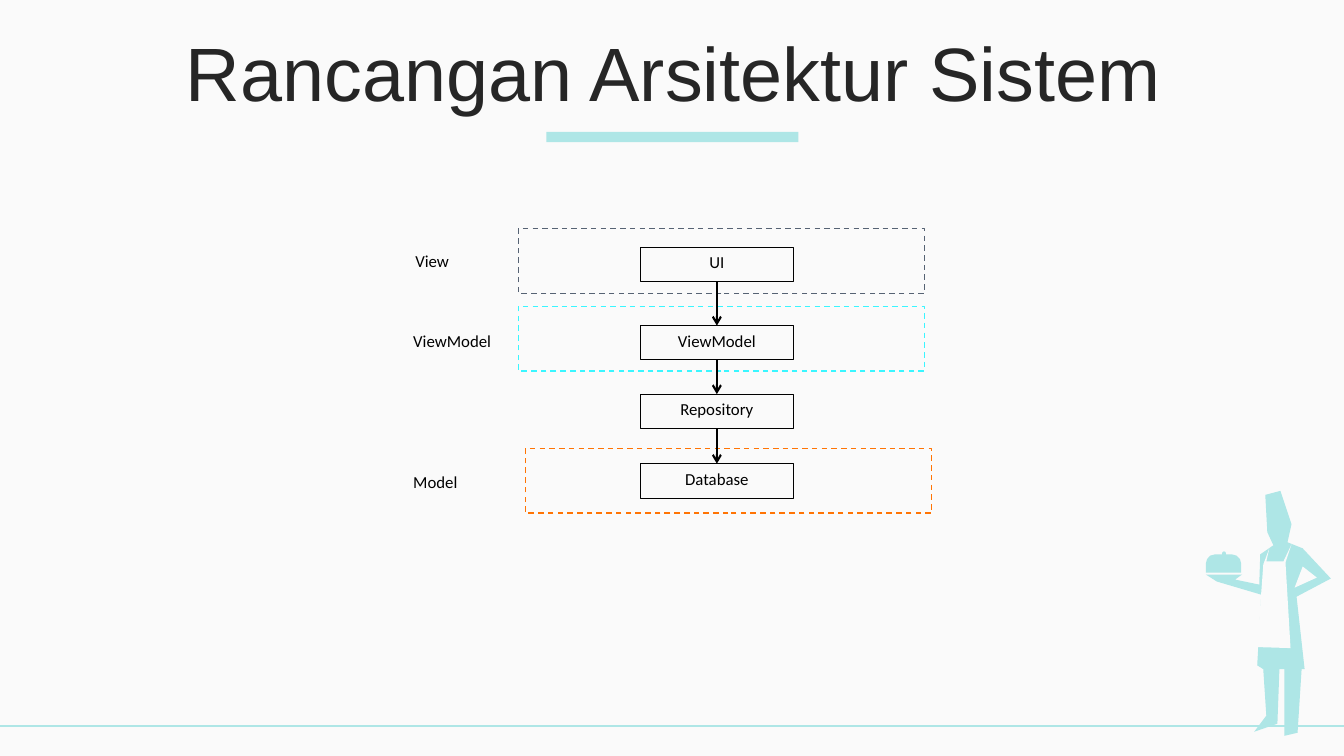
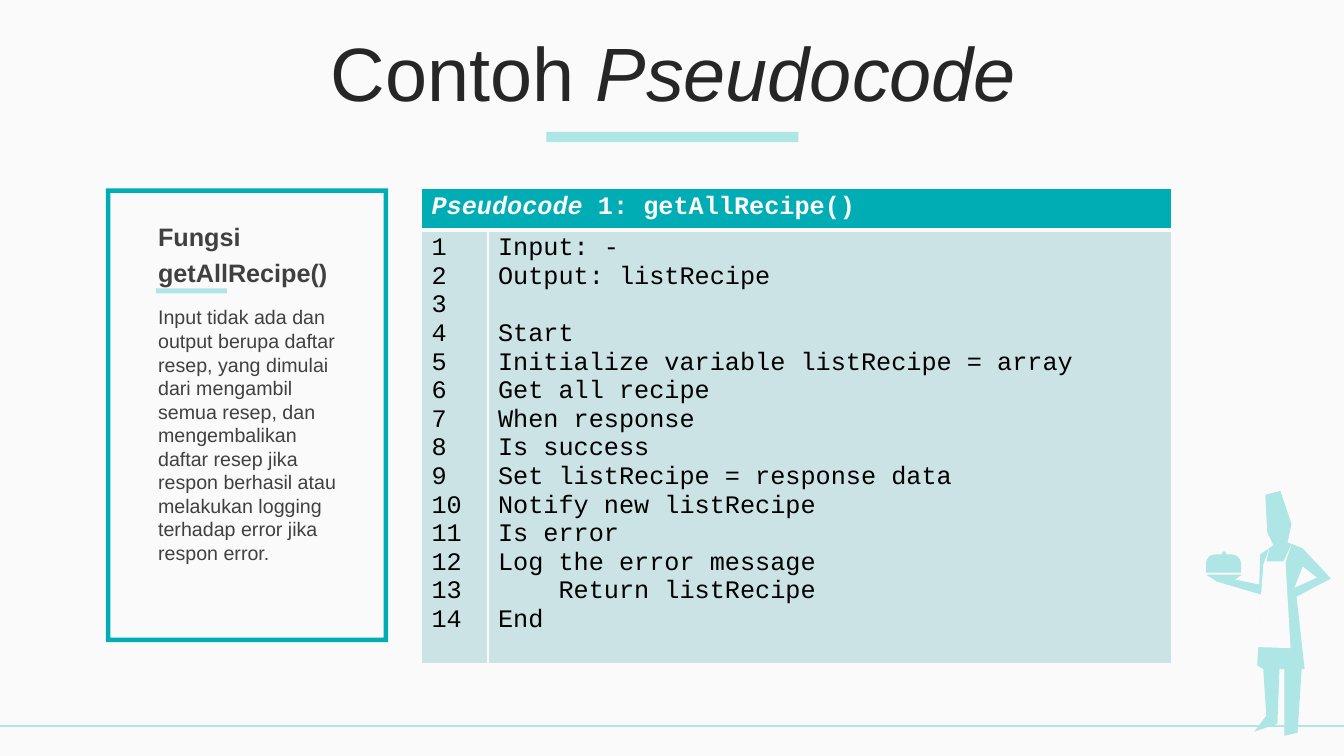
"""Build two slides: a system architecture diagram and a pseudocode listing."""
from lxml import etree
from pptx import Presentation
from pptx.dml.color import RGBColor
from pptx.enum.dml import MSO_LINE
from pptx.enum.shapes import MSO_CONNECTOR, MSO_SHAPE
from pptx.enum.text import MSO_ANCHOR, PP_ALIGN
from pptx.oxml.ns import qn
from pptx.util import Pt

PX = 9144
RECTANGLE, FRAME = MSO_SHAPE.RECTANGLE, MSO_SHAPE.FRAME
OVAL, DOME = MSO_SHAPE.OVAL, MSO_SHAPE.ROUND_2_SAME_RECTANGLE
STRAIGHT, DASH = MSO_CONNECTOR.STRAIGHT, MSO_LINE.DASH
TOP, MIDDLE = MSO_ANCHOR.TOP, MSO_ANCHOR.MIDDLE
LEFT, CENTER, JUSTIFY = PP_ALIGN.LEFT, PP_ALIGN.CENTER, PP_ALIGN.JUSTIFY

PAPER = RGBColor(0xFA, 0xFA, 0xFA)
MINT = RGBColor(0xAE, 0xE6, 0xE6)
TEAL = RGBColor(0x00, 0xAD, 0xB5)
PALE_TEAL = RGBColor(0xCC, 0xE3, 0xE5)
INK = RGBColor(0x26, 0x26, 0x26)
GRAY = RGBColor(0x40, 0x40, 0x40)
BLACK = RGBColor(0x00, 0x00, 0x00)
SLATE = RGBColor(0x56, 0x62, 0x73)
CYAN = RGBColor(0x3A, 0xF6, 0xFF)
ORANGE = RGBColor(0xFF, 0x74, 0x04)

CHEF_BODY = [
    (1196, 570), (1232, 570), (1225, 575), (1249, 580), (1250, 550), (1263, 541),
    (1257, 528), (1255, 491), (1270, 487), (1281, 520), (1277, 538), (1292, 544),
    (1320, 574), (1286, 592), (1294, 664), (1291, 664), (1287, 727), (1274, 730),
    (1274, 664), (1269, 664), (1267, 718), (1244, 726), (1256, 710), (1253, 664),
    (1247, 660), (1251, 590), (1207, 577),
]
CHEF_ARM_GAP = [(1284, 583), (1306, 573), (1292, 562)]
CHEF_APRON = [
    (1281, 540), (1273, 557), (1256, 557), (1259, 544), (1253, 560),
    (1247, 642), (1280, 643), (1275, 558),
]
CHEF_PARTS = [(MINT, CHEF_BODY), (PAPER, CHEF_ARM_GAP), (PAPER, CHEF_APRON)]

EXPLANATION = (
    "Input tidak ada dan output berupa daftar resep, yang dimulai dari mengambil "
    "semua resep, dan mengembalikan daftar resep jika respon berhasil atau melakukan "
    "logging terhadap error jika respon error."
)
CODE = """Input: -
Output: listRecipe
 
Start
Initialize variable listRecipe = array
Get all recipe
When response
Is success
Set listRecipe = response data
Notify new listRecipe
Is error
Log the error message
    Return listRecipe
End"""


def write(frame, text, font="Arial", size=18, color=BLACK, bold=False, italic=None,
          align=LEFT, anchor=TOP, before=0, after=0, spacing=None):
    """Fill a text frame, one paragraph a line; italic names the slanted words."""
    frame.word_wrap = True
    frame.vertical_anchor = anchor
    for index, line in enumerate(text.split("\n")):
        para = frame.add_paragraph() if index else frame.paragraphs[0]
        para.alignment = align
        para.space_before = Pt(before if index else 0)
        para.space_after = Pt(after)
        para.line_spacing = spacing
        for piece in line.partition(italic) if italic else [line]:
            if piece:
                span = para.add_run()
                span.text = piece
                span.font.name = font
                span.font.size = Pt(size)
                span.font.bold = bold
                span.font.italic = piece == italic
                span.font.color.rgb = color


def add_block(page, left, top, width, height, fill=PAPER, line=None, weight=1, kind=RECTANGLE):
    """Add a flat preset shape, measured in px."""
    block = page.shapes.add_shape(kind, left * PX, top * PX, width * PX, height * PX)
    block.shadow.inherit = False
    block.fill.solid()
    block.fill.fore_color.rgb = fill
    if line is None:
        block.line.fill.background()
    else:
        block.line.color.rgb = line
        block.line.width = Pt(weight)
    return block


deck = Presentation()
deck.slide_width, deck.slide_height = 1333 * PX, 750 * PX
background = deck.slide_master.background.fill
background.solid()
background.fore_color.rgb = PAPER

pages = []
lines = []
for title, slanted in [("Rancangan Arsitektur Sistem", None), ("Contoh Pseudocode", "Pseudocode")]:
    page = deck.slides.add_slide(deck.slide_layouts[6])
    pages.append(page)
    add_block(page, 542, 131, 250, 10, fill=MINT)
    lines.append((page, 0, 720, 1333, 720, MINT, False))
    for fill, outline in CHEF_PARTS:
        builder = page.shapes.build_freeform(*outline[0], scale=PX)
        builder.add_line_segments(outline[1:], close=True)
        part = builder.convert_to_shape()
        part.shadow.inherit = False
        part.fill.solid()
        part.fill.fore_color.rgb = fill
        part.line.fill.background()
    add_block(page, 1212, 547, 4, 5, fill=MINT, kind=OVAL)
    dome = add_block(page, 1196, 550, 35, 18, fill=MINT, kind=DOME)
    dome.adjustments[0] = 1
    box = page.shapes.add_textbox(35 * PX, 37 * PX, 1266 * PX, 79 * PX)
    write(box.text_frame, title, size=54, color=INK, italic=slanted,
          align=CENTER, anchor=MIDDLE, spacing=0.9)

architecture, listing = pages

for left, top, color in [(521, 445, ORANGE), (514, 227, SLATE), (514, 304, CYAN)]:
    layer = add_block(architecture, left, top, 403, 64, line=color)
    layer.line.dash_style = DASH

for left, top, label in [(402, 244, "View"), (400, 323, "ViewModel"), (400, 463, "Model")]:
    block = add_block(architecture, left, top, 102, 34)
    write(block.text_frame, label, font="Calibri", size=12, align=JUSTIFY, after=6)

components = [("UI", 245), ("ViewModel", 323), ("Repository", 391), ("Database", 460)]
for label, top in components:
    block = add_block(architecture, 635, top, 152, 34, line=BLACK, weight=0.5)
    write(block.text_frame, label, font="Calibri", size=12, align=CENTER, after=6)
for (_, upper), (_, lower) in zip(components, components[1:]):
    lines.append((architecture, 711, upper + 34, 711, lower, BLACK, True))

for page, left, top, right, bottom, color, arrow in lines:
    connector = page.shapes.add_connector(STRAIGHT, left * PX, top * PX, right * PX, bottom * PX)
    connector.line.color.rgb = color
    connector.line.width = Pt(1.5)
    properties = connector._element.spPr
    if arrow:
        etree.SubElement(properties.find(qn("a:ln")), qn("a:tailEnd"), type="arrow")
    etree.SubElement(properties, qn("a:effectLst"))

box = listing.shapes.add_textbox(147 * PX, 298 * PX, 197 * PX, 269 * PX)
write(box.text_frame, EXPLANATION, size=14, color=GRAY)
box = listing.shapes.add_textbox(147 * PX, 235 * PX, 197 * PX, 35 * PX)
write(box.text_frame, "Fungsi\ngetAllRecipe()", color=GRAY, bold=True, anchor=MIDDLE, before=4)
add_block(listing, 155, 286, 70, 5, fill=MINT)
border = add_block(listing, 105, 187, 280, 450, fill=TEAL, kind=FRAME)
border.adjustments[0] = 0.016

table = listing.shapes.add_table(2, 2, 418 * PX, 187 * PX, 744 * PX, 471 * PX).table
table.first_row = table.horz_banding = False
for column, width in zip(table.columns, (66, 678)):
    column.width = width * PX
for row, height in zip(table.rows, (41, 430)):
    row.height = height * PX
table.cell(0, 0).merge(table.cell(0, 1))

for row, fill, weights in zip(table.rows, (TEAL, PALE_TEAL), ((1, 1, 1, 3), (1, 1, 3, 1))):
    for cell in row.cells:
        cell.fill.solid()
        cell.fill.fore_color.rgb = fill
        properties = cell._tc.get_or_add_tcPr()
        for index, (side, weight) in enumerate(zip("LRTB", weights)):
            edge = etree.Element(qn(f"a:ln{side}"), w=str(Pt(weight)))
            edge_fill = etree.SubElement(edge, qn("a:solidFill"))
            etree.SubElement(edge_fill, qn("a:srgbClr"), val=str(PAPER))
            properties.insert(index, edge)

write(table.cell(0, 0).text_frame, "Pseudocode 1: getAllRecipe()", font="Courier New",
      color=PAPER, bold=True, italic="Pseudocode", align=JUSTIFY)
numbers = "\n".join(str(number + 1) for number in range(len(CODE.split("\n"))))
for column_index, text in enumerate((numbers, CODE)):
    write(table.cell(1, column_index).text_frame, text, font="Courier New", align=JUSTIFY)

deck.save("out.pptx")
